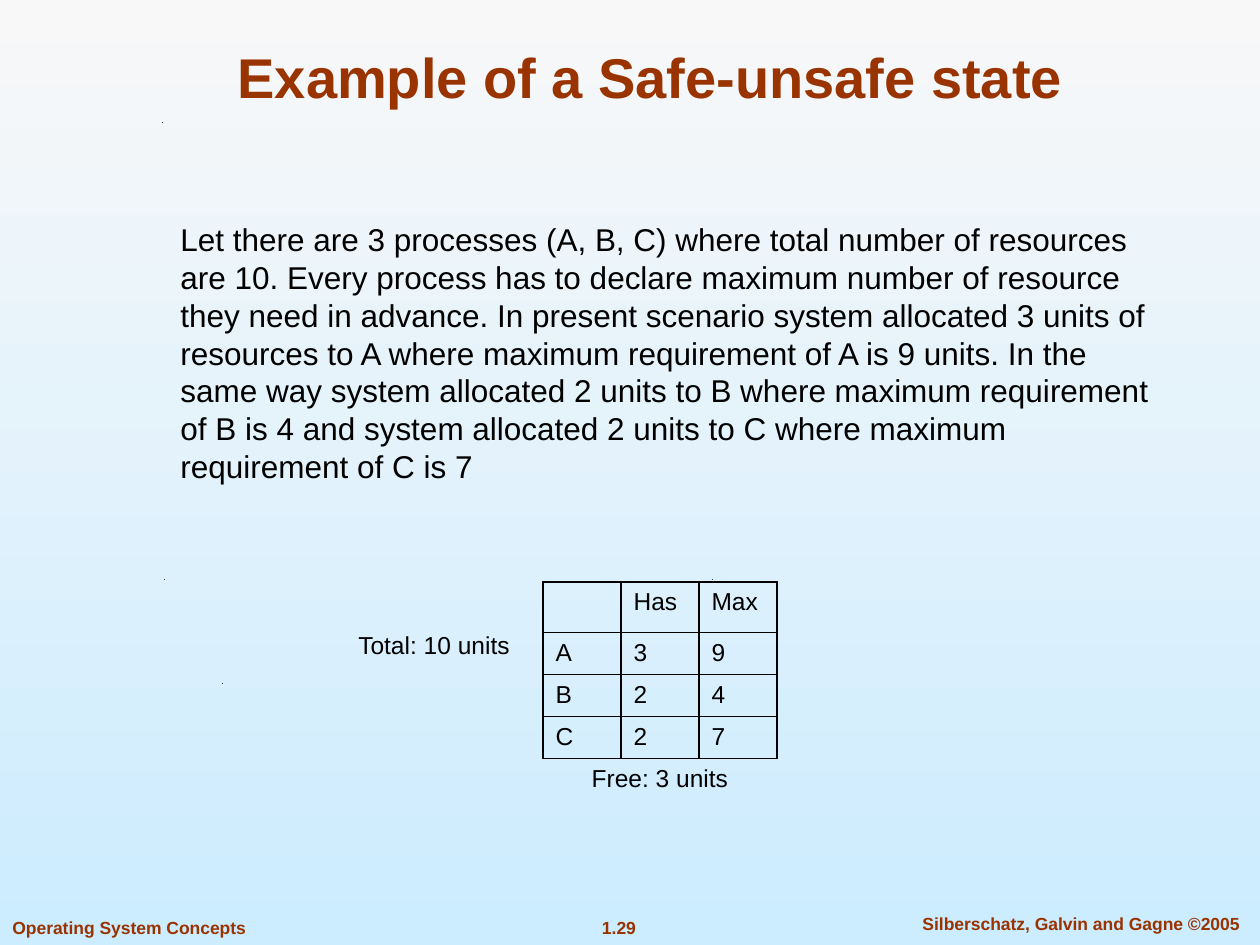
from dataclasses import dataclass

from lxml import etree
from pptx import Presentation
from pptx.dml.color import RGBColor
from pptx.enum.text import MSO_ANCHOR, MSO_AUTO_SIZE, PP_ALIGN
from pptx.oxml.ns import qn
from pptx.util import Emu, Pt

LEFT, CENTER = PP_ALIGN.LEFT, PP_ALIGN.CENTER
TOP, BOTTOM = MSO_ANCHOR.TOP, MSO_ANCHOR.BOTTOM
NO_AUTOFIT = MSO_AUTO_SIZE.NONE
EMU_PER_PX = 914400 / 126
PLAIN_TABLE_STYLE = "{2D5ABB26-0587-4C30-8999-92F81FD0307C}"


@dataclass(frozen=True)
class Theme:
    font: str = "Arial"
    accent: str = "993300"
    ink: str = "000000"
    sky_top: str = "F8F8F8"
    sky_bottom: str = "CCECFF"
    title_size: int = 32
    body_size: int = 18
    table_size: int = 14
    footer_size: int = 10


THEME = Theme()


@dataclass(frozen=True)
class Label:
    text: str
    left: int
    top: int
    width: int
    height: int
    size: int
    color: str = THEME.ink
    bold: bool = False
    align: PP_ALIGN = CENTER
    wrap: bool = False


@dataclass(frozen=True)
class Speck:
    left: int
    top: int


def px(value: int) -> Emu:
    return Emu(round(value * EMU_PER_PX))


def write(frame, text: str, size: int, color: str, bold: bool, align: PP_ALIGN) -> None:
    para = frame.paragraphs[0]
    para.alignment = align
    span = para.add_run()
    span.text = text
    span.font.name = THEME.font
    span.font.size = Pt(size)
    span.font.bold = bold
    span.font.color.rgb = RGBColor.from_string(color)


def add_label(page, label: Label) -> None:
    box = page.shapes.add_textbox(
        px(label.left), px(label.top), px(label.width), px(label.height))
    box.text_frame.word_wrap = label.wrap
    write(box.text_frame, label.text, label.size, label.color, label.bold, label.align)


def add_speck(page, speck: Speck) -> None:
    builder = page.shapes.build_freeform(speck.left, speck.top + 1, scale=EMU_PER_PX)
    builder.add_line_segments(
        [(speck.left + 1, speck.top), (speck.left + 1, speck.top + 1)], close=True)
    shape = builder.convert_to_shape()
    shape.shadow.inherit = False
    shape.fill.solid()
    shape.fill.fore_color.rgb = RGBColor.from_string(THEME.ink)
    shape.line.fill.background()


def set_borders(cell, sides: str) -> None:
    properties = cell._tc.get_or_add_tcPr()
    for side in sides:
        line = etree.SubElement(properties, qn(f"a:ln{side}"), w=str(Pt(1)))
        fill = etree.SubElement(line, qn("a:solidFill"))
        etree.SubElement(fill, qn("a:srgbClr"), val=THEME.ink)


def add_allocation_table(page, rows: list[list[str]], caption: str) -> None:
    left, top, column_width, row_height = 543, 582, 78, 40
    columns, caption_row = len(rows[0]), len(rows)
    table = page.shapes.add_table(
        caption_row + 1, columns, px(left), px(top),
        px(column_width * columns), px(row_height * (caption_row + 1))).table
    table.first_row = table.horz_banding = False
    table._tbl.tblPr.find(qn("a:tableStyleId")).text = PLAIN_TABLE_STYLE
    table.cell(caption_row, 0).merge(table.cell(caption_row, columns - 1))

    for r, values in enumerate(rows + [[caption] + [""] * (columns - 1)]):
        is_caption = r == caption_row
        for c, value in enumerate(values):
            cell = table.cell(r, c)
            set_borders(cell, "T" if is_caption else "LRTB")
            cell.fill.background()
            write(cell.text_frame, value, THEME.table_size, THEME.ink, False,
                  CENTER if is_caption else LEFT)


def paint_background(page) -> None:
    fill = page.background.fill
    fill.gradient()
    fill.gradient_angle = 270
    for stop, position, color in zip(
            fill.gradient_stops, (0, 1), (THEME.sky_top, THEME.sky_bottom)):
        stop.position = position
        stop.color.rgb = RGBColor.from_string(color)


def set_title(page, text: str) -> None:
    title = page.shapes.title
    title.left, title.top, title.width, title.height = px(94), px(32), px(1113), px(84)
    title.text_frame.auto_size = NO_AUTOFIT
    title.text_frame.vertical_anchor = BOTTOM
    write(title.text_frame, text, THEME.title_size, THEME.accent, True, CENTER)


def footer(text: str, left: int, top: int, width: int, align: PP_ALIGN = CENTER) -> Label:
    return Label(text, left, top, width, 34, THEME.footer_size, THEME.accent, True, align)


SPECKS = [Speck(222, 683), Speck(164, 579), Speck(712, 579), Speck(162, 122)]

FOOTERS = [
    footer("1.29", 588, 911, 62),
    footer("Silberschatz, Galvin and Gagne ©2005", 894, 907, 374),
    footer("Operating System Concepts", 0, 911, 278, LEFT),
]

EXPLANATION = Label(
    "Let there are 3 processes (A, B, C) where total number of resources are 10. "
    "Every process has to declare maximum number of resource they need in advance. "
    "In present scenario system allocated 3 units of resources to A where maximum "
    "requirement of A is 9 units. In the same way system allocated 2 units to B where "
    "maximum requirement of B is 4 and system allocated 2 units to C where maximum "
    "requirement of C is 7",
    168, 214, 1008, 280, THEME.body_size, align=LEFT, wrap=True)

TOTAL = Label("Total: 10 units", 344, 624, 180, 43, THEME.table_size)

ALLOCATION = [
    ["", "Has", "Max"],
    ["A", "3", "9"],
    ["B", "2", "4"],
    ["C", "2", "7"],
]


def main() -> None:
    deck = Presentation()
    deck.slide_width, deck.slide_height = px(1260), px(945)
    page = deck.slides.add_slide(deck.slide_layouts[5])

    # Backdrop and footer
    paint_background(page)
    for speck in SPECKS:
        add_speck(page, speck)
    for label in FOOTERS:
        add_label(page, label)

    # Title, allocation table and explanation
    set_title(page, "Example of a Safe-unsafe state")
    add_allocation_table(page, ALLOCATION, "Free: 3 units")
    add_label(page, EXPLANATION)
    add_label(page, TOTAL)

    deck.save("out.pptx")


if __name__ == "__main__":
    main()
